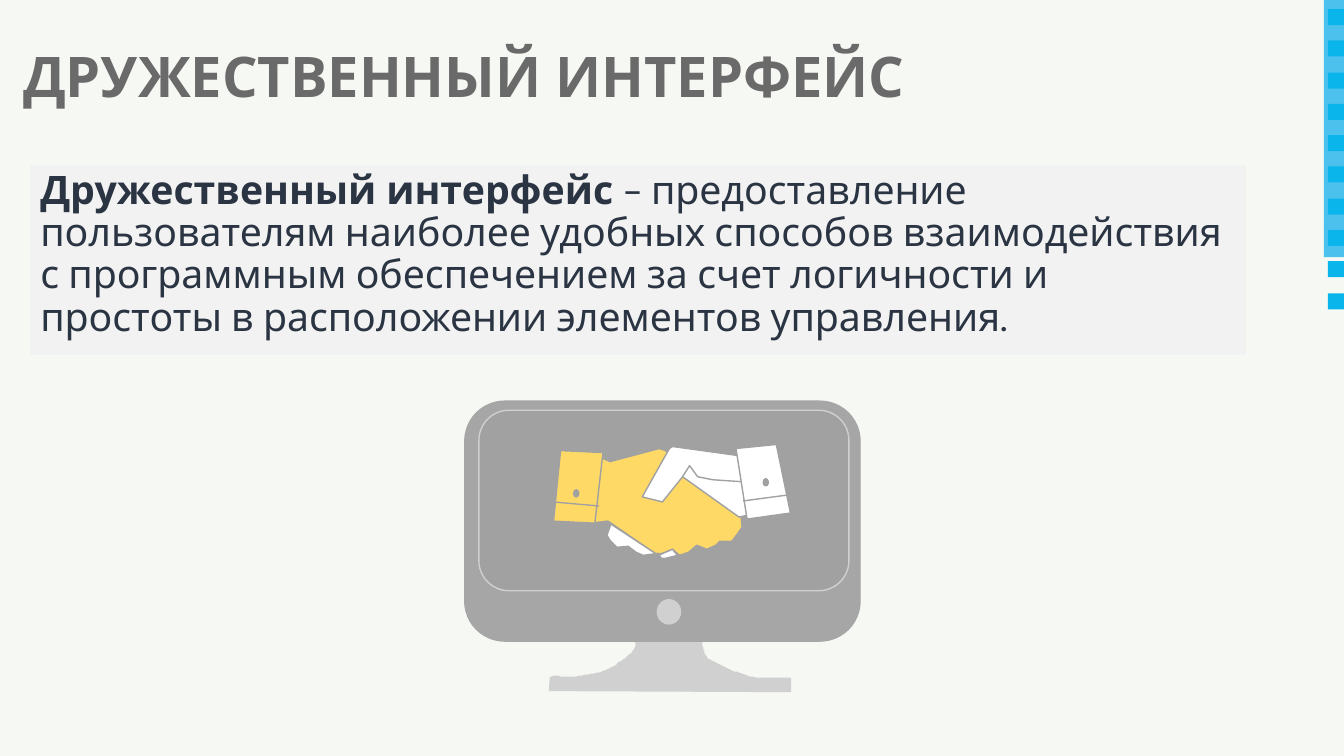
from lxml import etree
from pptx import Presentation
from pptx.dml.color import RGBColor
from pptx.enum.shapes import MSO_CONNECTOR, MSO_SHAPE
from pptx.enum.text import MSO_ANCHOR, MSO_AUTO_SIZE, PP_ALIGN
from pptx.oxml.ns import qn
from pptx.util import Pt

PX = 9144
RECT, ROUNDED, OVAL = MSO_SHAPE.RECTANGLE, MSO_SHAPE.ROUNDED_RECTANGLE, MSO_SHAPE.OVAL
STRAIGHT = MSO_CONNECTOR.STRAIGHT
LEFT, TOP, MIDDLE = PP_ALIGN.LEFT, MSO_ANCHOR.TOP, MSO_ANCHOR.MIDDLE
NO_AUTOFIT = MSO_AUTO_SIZE.NONE

FONT = "Karla"
PAPER, PANEL, TITLE_GRAY, INK = "F6F8F3", "F2F2F2", "6A6A6A", "2A3442"
BAND_BLUE, SQUARE_BLUE = "4DC1ED", "0AB5EC"
CASE_GRAY, SCREEN_GRAY, LIGHT_GRAY = "A6A6A6", "A1A1A1", "D0D0D0"
GOLD, WHITE = "FFD966", "FFFFFF"

STAND_START = (174, 221)
STAND_STEPS = [
    [(232, 222)],
    [(242, 225), (233, 236), (235, 243)],
    [(237, 249), (238, 255), (245, 258)],
    [(265, 268)],
    [(273, 270), (282, 275), (292, 275)],
    [(323, 275)], [(323, 288)], [(84, 287)], [(85, 274)],
    [(89, 272), (99, 275), (108, 274)],
    [(116, 273), (128, 271), (136, 269)],
    [(144, 266), (150, 262), (156, 258)],
    [(161, 254), (166, 251), (169, 245)],
    [(172, 239), (163, 225), (174, 221)],
]
GOLD_HAND = [
    (193, 47), (144, 60), (133, 55), (126, 121), (142, 119), (190, 152), (196, 151),
    (206, 147), (213, 153), (222, 150), (230, 143), (240, 147), (249, 143), (253, 139),
    (265, 139), (271, 131), (275, 125), (274, 115), (220, 77), (199, 49),
]
GOLD_CUFF = [(137, 51), (95, 49), (88, 119), (129, 121)]
WHITE_FINGERS = [
    (145, 122), (192, 153), (206, 147), (211, 153), (199, 156), (195, 156), (192, 151),
    (177, 153), (170, 150), (162, 144), (151, 145), (144, 138), (141, 133),
]
WHITE_HAND = [
    (271, 54), (286, 112), (272, 115), (216, 75),
    (196, 100), (176, 95), (203, 47), (206, 45),
]
THUMB_FOLD = [(216, 75), (223, 64), (231, 75), (246, 78), (276, 80)]
WHITE_CUFF = [(269, 47), (309, 43), (323, 111), (280, 117)]


def color(value):
    """Turn a hex string into a colour."""
    return RGBColor.from_string(value)


def px(*lengths):
    """Turn px lengths into EMU."""
    return [round(length * PX) for length in lengths]


def paint(shape, fill, line):
    """Set fill and outline, where None means none, and drop the shadow."""
    shape.shadow.inherit = False
    if fill:
        shape.fill.solid()
        shape.fill.fore_color.rgb = color(fill)
    else:
        shape.fill.background()
    if line:
        shape.line.color.rgb = color(line)
        shape.line.width = Pt(1)
    else:
        shape.line.fill.background()


def add_preset(shapes, preset, box, fill, line=None):
    """Add a painted preset shape."""
    paint(shapes.add_shape(preset, *px(*box)), fill, line)


def add_outline(shapes, left, top, points, fill, line, close=True):
    """Add a painted freeform whose points are relative to left and top."""
    start, *rest = [(left + x, top + y) for x, y in points]
    builder = shapes.build_freeform(*start, scale=PX)
    builder.add_line_segments(rest, close=close)
    paint(builder.convert_to_shape(), fill, line)


def add_seam(shapes, left, top, start, end):
    """Add a cuff seam between two points relative to left and top."""
    seam = shapes.add_connector(
        STRAIGHT, *px(left + start[0], top + start[1], left + end[0], top + end[1]))
    seam.line.color.rgb = color(SCREEN_GRAY)
    seam.line.width = Pt(1)
    etree.SubElement(seam._element.spPr, qn("a:effectLst"))


def flatten(start, steps, pieces=10):
    """Turn straight and cubic steps into a list of points."""
    points = [start]
    for step in steps:
        if len(step) == 1:
            points += step
            continue
        controls = [points[-1], *step]
        for piece in range(1, pieces + 1):
            t = piece / pieces
            weights = ((1 - t) ** 3, 3 * t * (1 - t) ** 2, 3 * t * t * (1 - t), t ** 3)
            points.append(tuple(
                sum(w * c[axis] for w, c in zip(weights, controls)) for axis in (0, 1)))
    return points


def add_edge_band(slide, left, top, width, height):
    """Draw the blue band with its column of squares."""
    add_preset(slide.shapes, RECT, (left, top, width, height), BAND_BLUE)
    for row in range(10):
        add_preset(slide.shapes, RECT,
                   (left + 4, top + 9 + round(31.3 * row), 16, 16), SQUARE_BLUE)


def place(placeholder, box, anchor):
    """Move a placeholder to a box and return its first paragraph."""
    placeholder.left, placeholder.top, placeholder.width, placeholder.height = px(*box)
    frame = placeholder.text_frame
    frame.word_wrap = True
    frame.auto_size = NO_AUTOFIT
    frame.vertical_anchor = anchor
    return frame.paragraphs[0]


def style(paragraph, size, ink, spacing):
    """Set the font and spacing of a paragraph."""
    paragraph.alignment = LEFT
    paragraph.line_spacing = spacing
    paragraph.space_before = Pt(0)
    paragraph.font.name = FONT
    paragraph.font.size = Pt(size)
    paragraph.font.color.rgb = color(ink)


def add_heading(slide, *box):
    """Fill the title placeholder."""
    heading = place(slide.shapes.title, box, MIDDLE)
    heading.text = "ДРУЖЕСТВЕННЫЙ ИНТЕРФЕЙС"
    style(heading, 40, TITLE_GRAY, 0.8)
    heading.font.bold = True


def add_definition(slide, *box):
    """Fill the body placeholder with the definition on a gray panel."""
    body = slide.placeholders[1]
    definition = place(body, box, TOP)
    body.fill.solid()
    body.fill.fore_color.rgb = color(PANEL)
    properties = definition._p.get_or_add_pPr()
    properties.set("marL", "0")
    properties.set("indent", "0")
    etree.SubElement(properties, qn("a:buNone"))
    term = definition.add_run()
    term.text = "Дружественный интерфейс "
    term.font.bold = True
    definition.add_run().text = (
        "– предоставление пользователям наиболее удобных способов взаимодействия "
        "с программным обеспечением за счет логичности и простоты "
        "в расположении элементов управления.")
    style(definition, 28, INK, 0.9)


def add_monitor(slide, left, top):
    """Draw a monitor showing a handshake."""
    shapes = slide.shapes.add_group_shape().shapes
    add_outline(shapes, left, top, flatten(STAND_START, STAND_STEPS), LIGHT_GRAY, LIGHT_GRAY)
    add_preset(shapes, ROUNDED, (left, top, 392, 238), CASE_GRAY, CASE_GRAY)
    add_preset(shapes, ROUNDED, (left + 14, top + 9, 367, 179), SCREEN_GRAY, LIGHT_GRAY)
    add_preset(shapes, OVAL, (left + 191, top + 197, 23, 24), LIGHT_GRAY, LIGHT_GRAY)
    for points, fill in ((GOLD_HAND, GOLD), (GOLD_CUFF, GOLD),
                         (WHITE_FINGERS, WHITE), (WHITE_HAND, WHITE)):
        add_outline(shapes, left, top, points, fill, SCREEN_GRAY)
    add_outline(shapes, left, top, THUMB_FOLD, None, SCREEN_GRAY, close=False)
    add_outline(shapes, left, top, WHITE_CUFF, WHITE, SCREEN_GRAY)
    for start, end, (x, y) in (((88, 100), (133, 104), (108, 88)),
                               ((276, 99), (321, 93), (296, 77))):
        add_seam(shapes, left, top, start, end)
        add_preset(shapes, OVAL, (left + x, top + y, 5, 7), SCREEN_GRAY, SCREEN_GRAY)


def main():
    """Build and save the slide."""
    deck = Presentation()
    deck.slide_width, deck.slide_height = px(1333, 750)
    slide = deck.slides.add_slide(deck.slide_layouts[1])
    slide.background.fill.solid()
    slide.background.fill.fore_color.rgb = color(PAPER)
    add_edge_band(slide, 1313, 0, 20, 255)
    add_definition(slide, 30, 164, 1206, 188)
    add_heading(slide, 13, 8, 940, 145)
    add_monitor(slide, 461, 398)
    deck.save("out.pptx")


if __name__ == "__main__":
    main()
